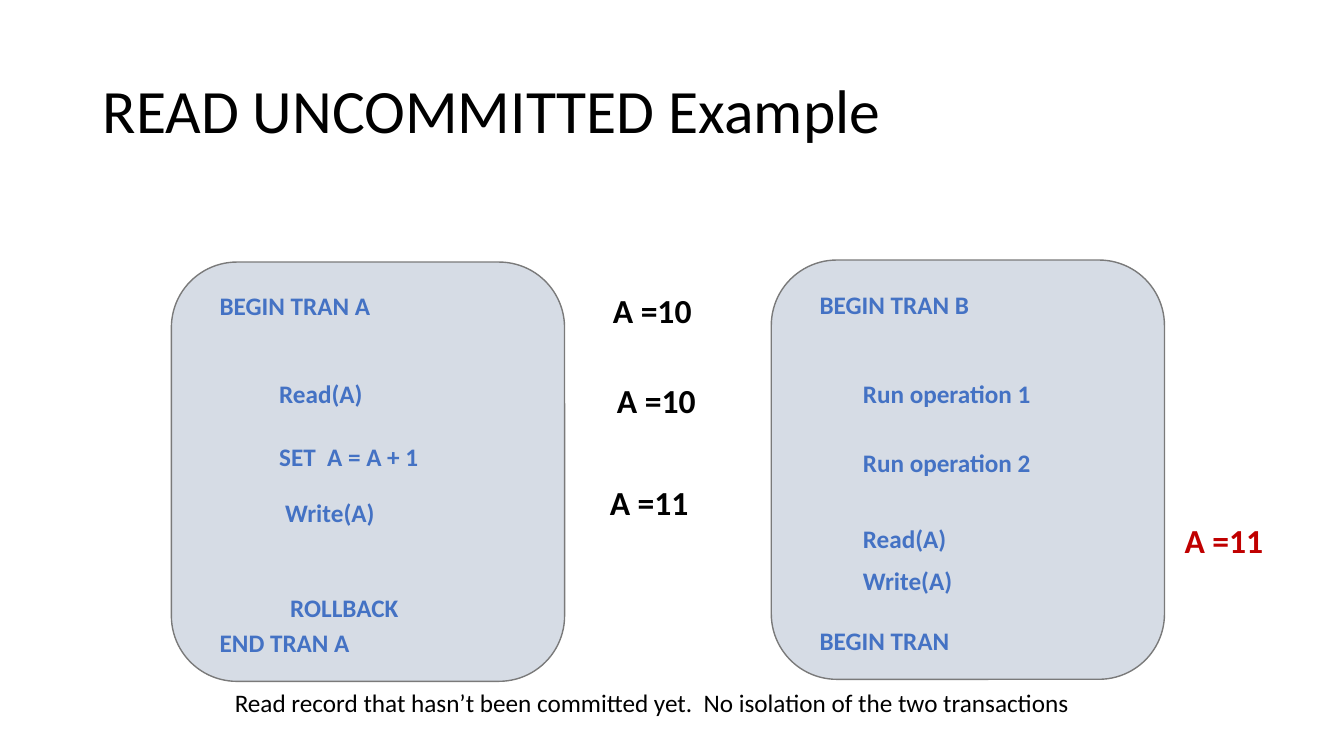
from dataclasses import dataclass

from pptx import Presentation
from pptx import util as u
from pptx.dml.color import RGBColor
from pptx.enum import shapes, text

PX = 9144  # 100 px to the inch


@dataclass(frozen=True)
class Theme:
    font: str = "Calibri"
    ink: str = "000000"
    step: str = "4472C4"
    alert: str = "C00000"
    panel: str = "D6DCE5"
    outline: str = "7A7A7A"
    title_size: int = 44
    value_size: int = 24
    body_size: int = 18


THEME = Theme()

PANEL_SIZE = (390, 416)
STEP_SIZE = (292, 40)
VALUE_SIZE = (146, 50)

# Panel corner, then each step as (left, top, wording)
TRANSACTIONS = [
    ((170, 260), [
        (208, 283, "BEGIN TRAN A"),
        (267, 370, "Read(A)"),
        (267, 433, "SET  A = A + 1"),
        (273, 488, "Write(A)"),
        (278, 583, "ROLLBACK"),
        (208, 617, "END TRAN A"),
    ]),
    ((765, 258), [
        (803, 282, "BEGIN TRAN B"),
        (846, 370, "Run operation 1"),
        (846, 439, "Run operation 2"),
        (846, 514, "Read(A)"),
        (846, 556, "Write(A)"),
        (803, 615, "BEGIN TRAN"),
    ]),
]

VALUES = [
    (598, 283, "A =10", THEME.ink),
    (602, 372, "A =10", THEME.ink),
    (595, 473, "A =11", THEME.ink),
    (1165, 511, "A =11", THEME.alert),
]


def emu(*lengths):
    return [u.Emu(length * PX) for length in lengths]


def apply_format(target, values):
    for name, value in values.items():
        setattr(target, name, value)


def add_label(page, box, wording, size, color=THEME.ink, bold=False,
              anchor=text.MSO_ANCHOR.TOP, line_spacing=1.0):
    """Place one line of text in a box given as left, top, width, height."""
    frame = page.shapes.add_textbox(*emu(*box)).text_frame
    apply_format(frame, {"word_wrap": True, "vertical_anchor": anchor})
    para = frame.paragraphs[0]
    para.line_spacing = line_spacing
    span = para.add_run()
    span.text = wording
    apply_format(span.font, {"name": THEME.font, "size": u.Pt(size), "bold": bold})
    span.font.color.rgb = RGBColor.from_string(color)


def add_panel(page, corner):
    panel = page.shapes.add_shape(
        shapes.MSO_SHAPE.ROUNDED_RECTANGLE, *emu(*corner, *PANEL_SIZE))
    panel.shadow.inherit = False
    panel.fill.solid()
    panel.fill.fore_color.rgb = RGBColor.from_string(THEME.panel)
    panel.line.color.rgb = RGBColor.from_string(THEME.outline)
    panel.line.width = u.Pt(1)


def add_transaction(page, corner, steps):
    add_panel(page, corner)
    for left, top, wording in steps:
        add_label(page, (left, top, *STEP_SIZE), wording,
                  THEME.body_size, THEME.step, bold=True)


def main():
    deck = Presentation()
    deck.slide_width, deck.slide_height = emu(1333, 750)
    page = deck.slides.add_slide(deck.slide_layouts[6])

    add_label(page, (92, 40, 1150, 145), "READ UNCOMMITTED Example",
              THEME.title_size, anchor=text.MSO_ANCHOR.MIDDLE, line_spacing=0.9)
    for corner, steps in TRANSACTIONS:
        add_transaction(page, corner, steps)
    for left, top, wording, color in VALUES:
        add_label(page, (left, top, *VALUE_SIZE), wording,
                  THEME.value_size, color, bold=True)
    add_label(page, (223, 677, 1022, 40),
              "Read record that hasn’t been committed yet.  "
              "No isolation of the two transactions", THEME.body_size)

    deck.save("out.pptx")


if __name__ == "__main__":
    main()
